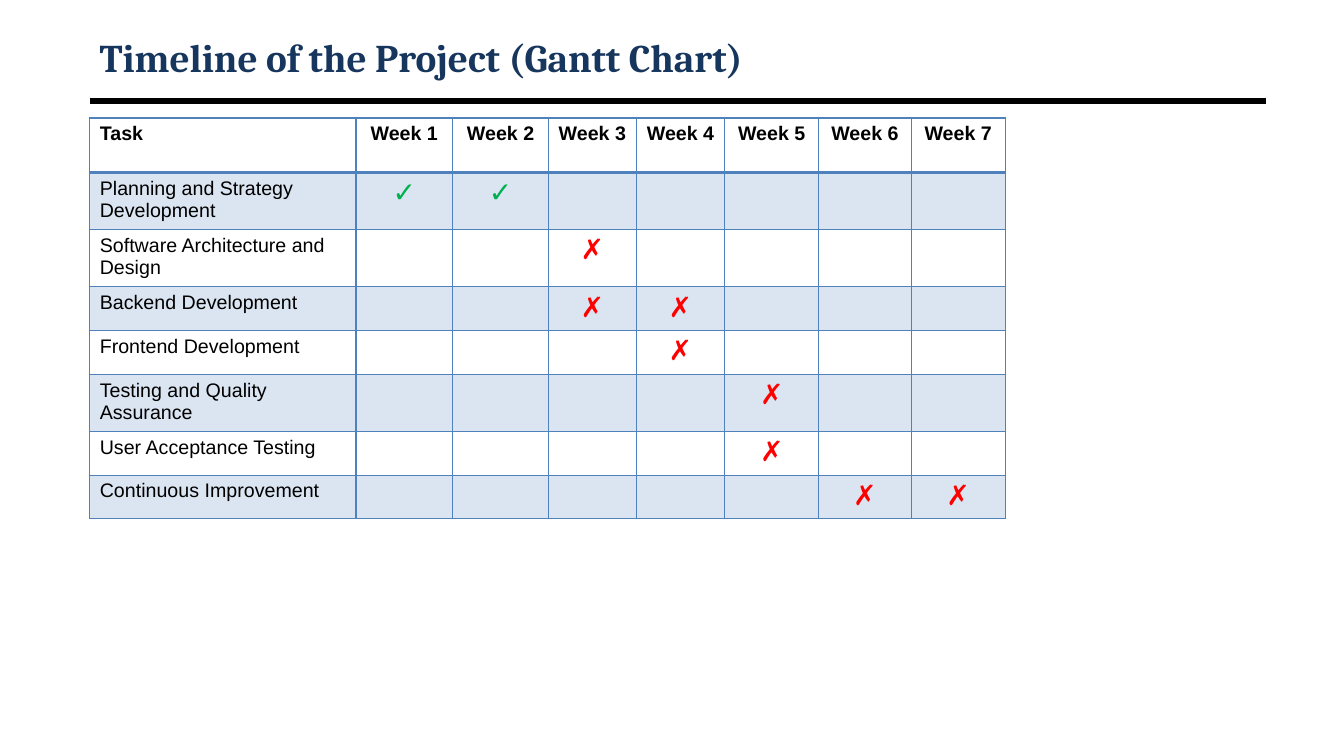
import dataclasses

import pptx
import pptx.dml.color
import pptx.enum.shapes
import pptx.enum.text
import pptx.oxml.ns
import pptx.util
from lxml import etree

Inches = pptx.util.Inches
Align = pptx.enum.text.PP_ALIGN
Anchor = pptx.enum.text.MSO_ANCHOR
qn = pptx.oxml.ns.qn


@dataclasses.dataclass(frozen=True)
class Theme:
    title_color: str = "17365D"
    text_color: str = "000000"
    accent: str = "4F81BD"
    band_alpha: int = 20
    done_color: str = "00B050"
    pending_color: str = "FF0000"
    title_font: str = "Cambria"
    body_font: str = "Arial"
    title_size: int = 28
    body_size: int = 14
    mark_size: int = 20
    rule_width: float = 4.5
    border_width: int = 1
    header_border_width: int = 2


THEME = Theme()
DONE, PENDING = "✓", "✗"
MARK_COLORS = {DONE: THEME.done_color, PENDING: THEME.pending_color}
TASK_WIDTH = 2.64
WEEK_WIDTHS = [0.96, 0.95, 0.87, 0.88, 0.93, 0.92, 0.93]
TALL_ROW, SHORT_ROW = 0.54, 0.41
TASKS = [
    ("Planning and Strategy Development", DONE, (1, 2), TALL_ROW),
    ("Software Architecture and Design", PENDING, (3,), TALL_ROW),
    ("Backend Development", PENDING, (3, 4), SHORT_ROW),
    ("Frontend Development", PENDING, (4,), SHORT_ROW),
    ("Testing and Quality Assurance", PENDING, (5,), TALL_ROW),
    ("User Acceptance Testing", PENDING, (5,), SHORT_ROW),
    ("Continuous Improvement", PENDING, (6, 7), SHORT_ROW),
]


def rgb(color):
    return pptx.dml.color.RGBColor.from_string(color)


def write(frame, text, *, size=THEME.body_size, color=THEME.text_color,
          font=THEME.body_font, bold=False, align=Align.LEFT):
    paragraph = frame.paragraphs[0]
    paragraph.alignment = align
    run = paragraph.add_run()
    run.text = text
    run.font.size = pptx.util.Pt(size)
    run.font.name = font
    run.font.bold = bold
    run.font.color.rgb = rgb(color)


def draw_heading(slide, left, top, width, height):
    title = slide.shapes.add_textbox(
        Inches(left), Inches(top), Inches(width), Inches(height))
    frame = title.text_frame
    frame.word_wrap = True
    frame.vertical_anchor = Anchor.MIDDLE
    write(frame, "Timeline of the Project (Gantt Chart)", size=THEME.title_size,
          color=THEME.title_color, font=THEME.title_font, bold=True)

    rule_y = Inches(top + height + 0.17)
    rule = slide.shapes.add_connector(
        pptx.enum.shapes.MSO_CONNECTOR.STRAIGHT,
        Inches(left), rule_y, Inches(left + width), rule_y)
    rule.line.color.rgb = rgb(THEME.text_color)
    rule.line.width = pptx.util.Pt(THEME.rule_width)
    etree.SubElement(rule._element.spPr, qn("a:effectLst"))


def style_cell(cell, row, column):
    if column:
        cell.margin_left = cell.margin_right = Inches(0.05)
    properties = cell._tc.get_or_add_tcPr()
    for side in "LRTB":
        header_edge = (row, side) in ((0, "B"), (1, "T"))
        width = THEME.header_border_width if header_edge else THEME.border_width
        border = etree.SubElement(
            properties, qn("a:ln" + side), w=str(pptx.util.Pt(width)))
        paint = etree.SubElement(border, qn("a:solidFill"))
        etree.SubElement(paint, qn("a:srgbClr"), val=THEME.accent)
    if row % 2:
        cell.fill.solid()
        cell.fill.fore_color.rgb = rgb(THEME.accent)
        band = properties.find(qn("a:solidFill")).find(qn("a:srgbClr"))
        etree.SubElement(band, qn("a:alpha"), val=str(THEME.band_alpha * 1000))
    else:
        cell.fill.background()


def draw_schedule(slide, left, top):
    widths = [TASK_WIDTH, *WEEK_WIDTHS]
    heights = [TALL_ROW, *(height for *_, height in TASKS)]
    schedule = slide.shapes.add_table(
        len(heights), len(widths), Inches(left), Inches(top),
        Inches(sum(widths)), Inches(sum(heights))).table
    for column, width in zip(schedule.columns, widths):
        column.width = Inches(width)
    for row, height in zip(schedule.rows, heights):
        row.height = Inches(height)
    for row in range(len(heights)):
        for column in range(len(widths)):
            style_cell(schedule.cell(row, column), row, column)

    write(schedule.cell(0, 0).text_frame, "Task", bold=True)
    for week in range(1, len(widths)):
        write(schedule.cell(0, week).text_frame, f"Week {week}",
              bold=True, align=Align.CENTER)
    for row, (task, mark, weeks, _) in enumerate(TASKS, start=1):
        write(schedule.cell(row, 0).text_frame, task)
        for week in weeks:
            write(schedule.cell(row, week).text_frame, mark, size=THEME.mark_size,
                  color=MARK_COLORS[mark], bold=True, align=Align.CENTER)


def main():
    deck = pptx.Presentation()
    deck.slide_width = Inches(13.33)
    deck.slide_height = Inches(7.5)
    slide = deck.slides.add_slide(deck.slide_layouts[6])
    draw_heading(slide, 0.89, 0.3, 11.67, 0.53)
    draw_schedule(slide, 0.89, 1.17)
    deck.save("out.pptx")


if __name__ == "__main__":
    main()
